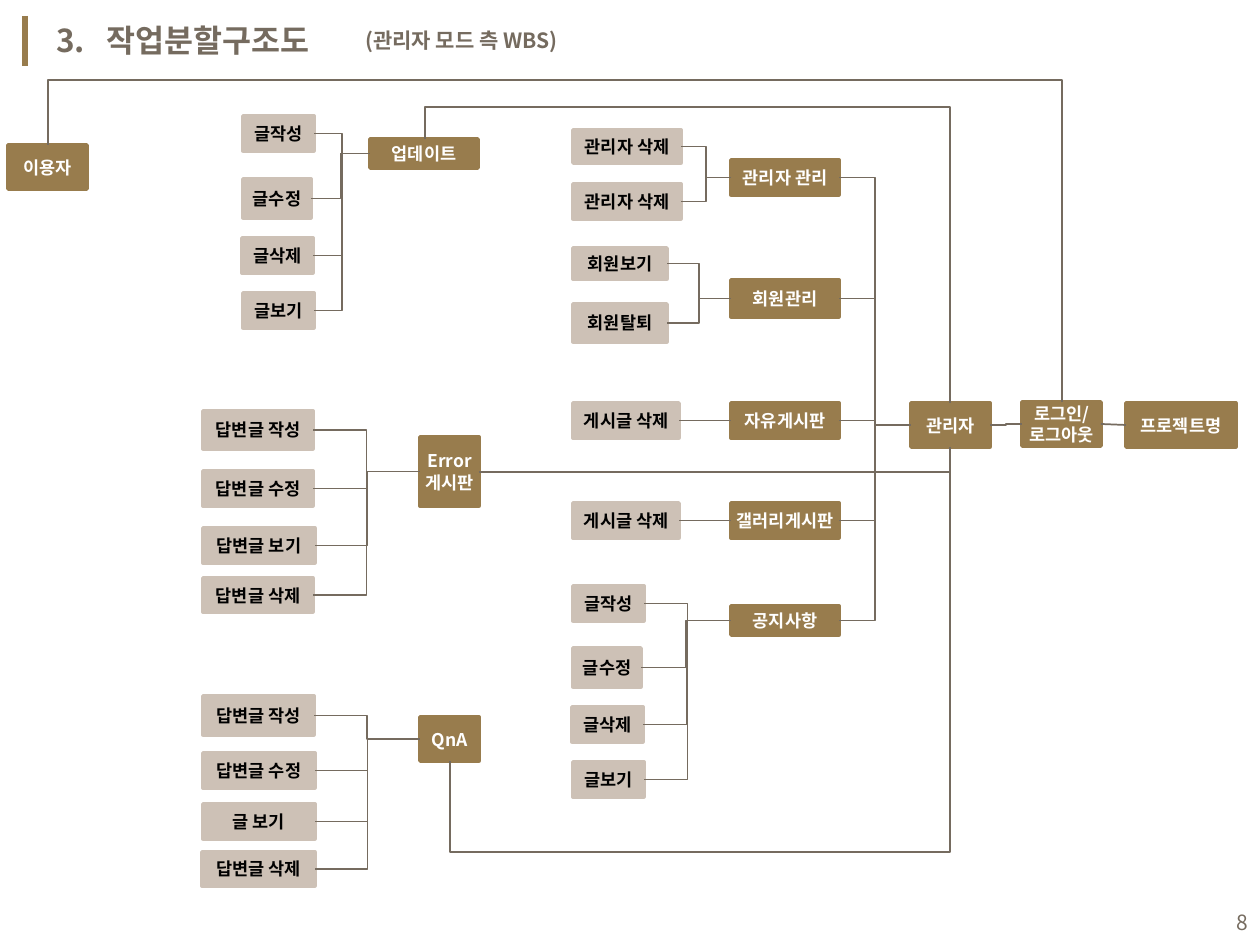
from lxml.etree import SubElement
from pptx import Presentation
from pptx.dml.color import RGBColor
from pptx.enum.shapes import MSO_CONNECTOR as Link, MSO_SHAPE as Shape
from pptx.enum.text import MSO_ANCHOR as Anchor, PP_ALIGN as Align
from pptx.oxml.ns import qn
from pptx.util import Pt

PX = 914400 // 126
FONT = "Noto Sans CJK KR"
COLORS = {"brown": "987C4D", "beige": "CDC1B6", "gray": "756B5F",
          "white": "FFFFFF", "black": "000000"}
LEFT, RIGHT = 1, 3  # connection sites of a rectangle

deck = Presentation()
deck.slide_width, deck.slide_height = 1260 * PX, 945 * PX
page = deck.slides.add_slide(deck.slide_layouts[6])
shapes = page.shapes


def write(box, text, size, color, bold=True, align=Align.LEFT):
    frame = box.text_frame
    frame.word_wrap = True
    frame.text = text
    for para in frame.paragraphs:
        para.alignment = align
        for span in para.runs:
            span.font.name, span.font.size, span.font.bold = FONT, Pt(size), bold
            span.font.color.rgb = RGBColor.from_string(COLORS[color])
            SubElement(span.font._element, qn("a:ea"), typeface=FONT)


def add_line(kind, start=(0, 0), end=(0, 0), color="gray", width=1):
    line = shapes.add_connector(kind, *[round(v * PX) for v in (*start, *end)])
    line.line.color.rgb = RGBColor.from_string(COLORS[color])
    line.line.width = Pt(width)
    SubElement(line._element.spPr, qn("a:effectLst"))
    return line


# Heading and page number
add_line(Link.STRAIGHT, (25, 16), (25, 66), "brown", 3)
title = shapes.add_textbox(44 * PX, 15 * PX, 404 * PX, 50 * PX)
write(title, "3.\t작업분할구조도", 18, "gray")
tabs = SubElement(title.text_frame.paragraphs[0]._p.get_or_add_pPr(), qn("a:tabLst"))
SubElement(tabs, qn("a:tab"), pos=str(50 * PX), algn="l")
subtitle = shapes.add_textbox(353 * PX, 21 * PX, 228 * PX, 38 * PX)
write(subtitle, "(관리자 모드 측 WBS)", 12, "gray")
number = shapes.add_textbox(968 * PX, 897 * PX, 293 * PX, 50 * PX)
number.text_frame.vertical_anchor = Anchor.MIDDLE
write(number, "8", 12, "gray", False, Align.RIGHT)

# Boxes: key, text, left, top, width, height
main_boxes = [
    ("project", "프로젝트명", 1126, 403, 110, 44),
    ("user", "이용자", 8, 145, 79, 44),
    ("admin", "관리자", 911, 403, 79, 44),
    ("login", "로그인/\n로그아웃", 1022, 402, 79, 44),
    ("managers", "관리자 관리", 731, 160, 108, 35),
    ("members", "회원관리", 731, 280, 108, 37),
    ("free", "자유게시판", 731, 403, 108, 35),
    ("gallery", "갤러리게시판", 731, 503, 108, 35),
    ("notice", "공지사항", 731, 606, 108, 29),
    ("update", "업데이트", 370, 139, 108, 29),
    ("error", "Error\n게시판", 420, 437, 59, 69),
    ("qna", "QnA", 420, 717, 59, 44),
]
# Tasks, each listed under the key of its parent
task_boxes = [
    ("managers", "관리자 삭제", 573, 130, 108, 33),
    ("managers", "관리자 삭제", 573, 184, 108, 35),
    ("members", "회원보기", 573, 248, 94, 31),
    ("members", "회원탈퇴", 573, 304, 94, 38),
    ("free", "게시글 삭제", 573, 403, 106, 35),
    ("gallery", "게시글 삭제", 573, 503, 106, 35),
    ("notice", "글작성", 573, 586, 71, 35),
    ("notice", "글수정", 573, 648, 68, 39),
    ("notice", "글삭제", 572, 707, 71, 35),
    ("notice", "글보기", 573, 762, 71, 35),
    ("update", "글작성", 243, 116, 71, 35),
    ("update", "글수정", 243, 179, 68, 39),
    ("update", "글삭제", 242, 238, 71, 35),
    ("update", "글보기", 243, 293, 71, 35),
    ("error", "답변글 작성", 203, 411, 110, 38),
    ("error", "답변글 수정", 203, 471, 110, 35),
    ("error", "답변글 보기", 203, 528, 112, 35),
    ("error", "답변글 삭제", 203, 578, 110, 34),
    ("qna", "답변글 작성", 203, 696, 111, 39),
    ("qna", "답변글 수정", 203, 753, 112, 35),
    ("qna", "글 보기", 203, 804, 112, 35),
    ("qna", "답변글 삭제", 202, 852, 113, 34),
]
nodes, links = {}, []
for rows, fill, ink in ((main_boxes, "brown", "white"), (task_boxes, "beige", "black")):
    for key, text, *bounds in rows:
        box = shapes.add_shape(Shape.RECTANGLE, *[v * PX for v in bounds])
        box.shadow.inherit = False
        box.fill.solid()
        box.fill.fore_color.rgb = RGBColor.from_string(COLORS[fill])
        box.line.color.rgb = RGBColor.from_string(COLORS[fill])
        box.line.width = Pt(2)
        frame = box.text_frame
        frame.margin_left = frame.margin_right = frame.margin_top = frame.margin_bottom = 0
        frame.vertical_anchor = Anchor.MIDDLE
        write(box, text, 10, ink, align=Align.CENTER)
        if rows is main_boxes:
            nodes[key] = box
        else:
            links.append((nodes[key], box))

# Links from the left side of a parent to the right side of its child
for key in ("managers", "members", "free", "gallery", "notice"):
    links.append((nodes["admin"], nodes[key]))
links.append((nodes["login"], nodes["admin"]))
for parent, child in links:
    elbow = add_line(Link.ELBOW)
    elbow.begin_connect(parent, LEFT)
    elbow.end_connect(child, RIGHT)
stem = add_line(Link.STRAIGHT)
stem.begin_connect(nodes["project"], LEFT)
stem.end_connect(nodes["login"], RIGHT)

# Long links that leave vertically: start, end, height of the crossbar.
# Each is a horizontal elbow turned a quarter clockwise about its centre.
for (x1, y1), (x2, y2), bar in (
    ((1062, 402), (48, 145), 80),
    ((950, 447), (450, 761), 852),
    ((425, 139), (950, 403), 107),
):
    mid_x, mid_y = (x1 + x2) / 2, (y1 + y2) / 2
    half_x, half_y = (x2 - x1) / 2, (y2 - y1) / 2
    elbow = add_line(Link.ELBOW, (mid_x - half_y, mid_y + half_x),
                     (mid_x + half_y, mid_y - half_x))
    properties = elbow._element.spPr
    properties.find(qn("a:xfrm")).set("rot", str(90 * 60000))
    guides = properties.find(qn("a:prstGeom")).get_or_add_avLst()
    bend = round((bar - y1) / (y2 - y1) * 100000)
    SubElement(guides, qn("a:gd"), name="adj1", fmla=f"val {bend}")

# Error board joins the administrator from below with a single bend
corner = add_line(Link.ELBOW, (479, 472), (950, 447))
corner._element.spPr.find(qn("a:prstGeom")).set("prst", "bentConnector2")

deck.save("out.pptx")
